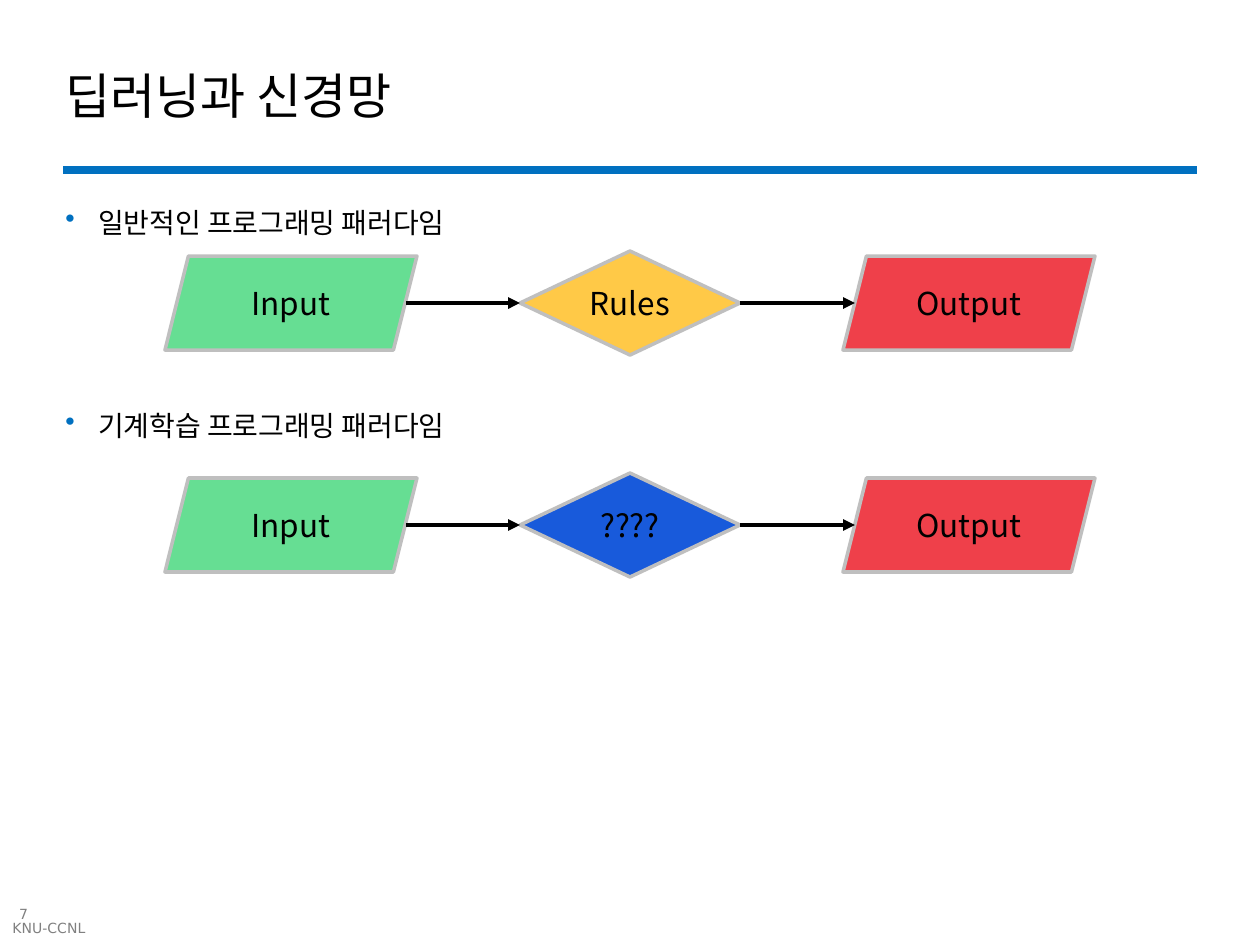
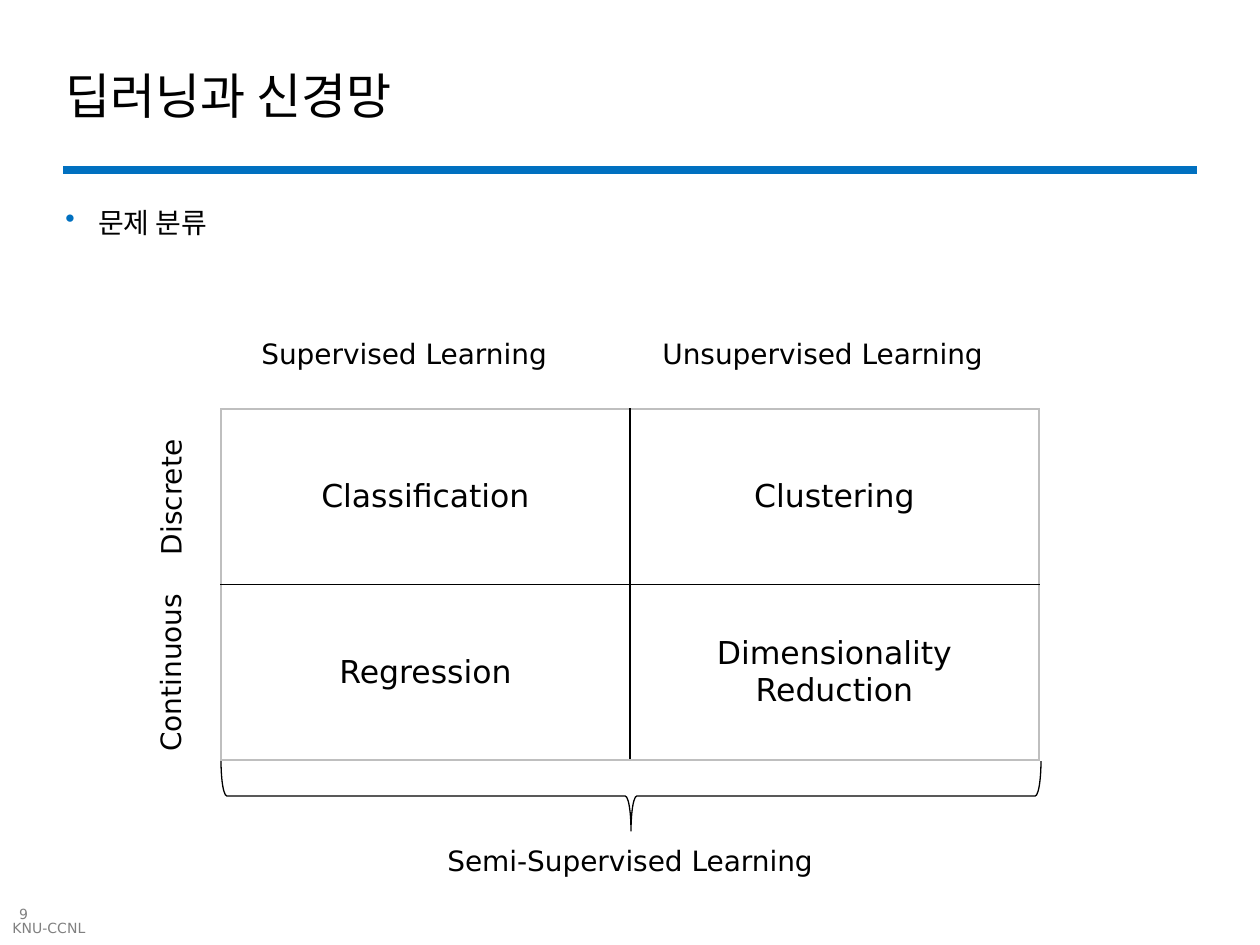
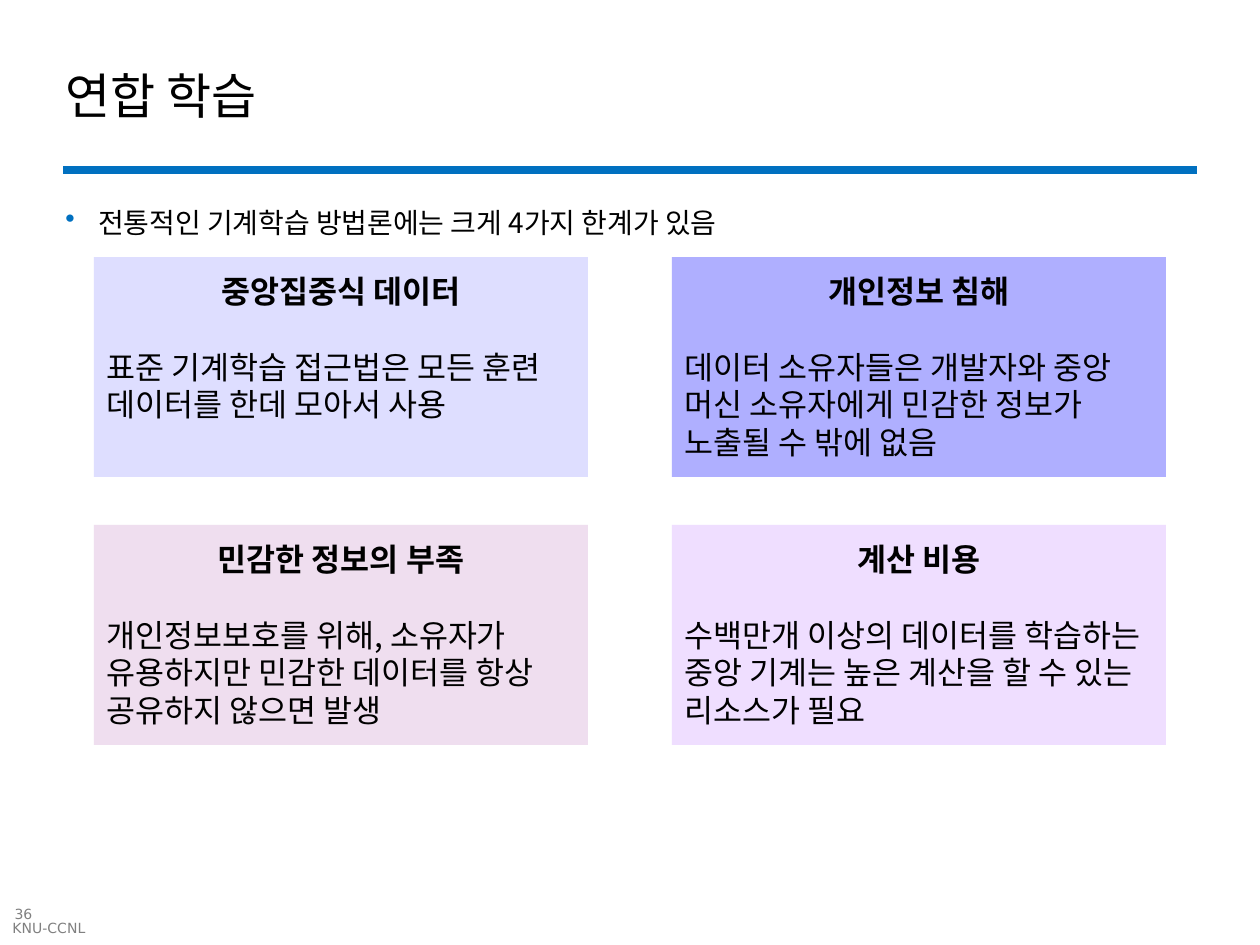
import dataclasses

import lxml.etree
import pptx
import pptx.dml.color
import pptx.enum.shapes
import pptx.enum.text
import pptx.oxml.ns
import pptx.util

SCALE = pptx.util.Inches(1) / 126
SHAPE = pptx.enum.shapes.MSO_SHAPE
ALIGN = pptx.enum.text.PP_ALIGN
ANCHOR = pptx.enum.text.MSO_ANCHOR


@dataclasses.dataclass(frozen=True)
class Theme:
    korean: str = "Noto Sans CJK KR"
    latin: str = "DejaVu Sans"
    ink: str = "000000"
    accent: str = "0070C0"
    muted: str = "808080"
    outline: str = "BFBFBF"
    input_fill: str = "66DE93"
    output_fill: str = "EF404A"
    rules_fill: str = "FFC947"
    unknown_fill: str = "185ADB"
    title_size: int = 28
    large_size: int = 18
    body_size: int = 16
    footer_size: int = 8


def px(length):
    return round(length * SCALE)


def rgb(color):
    return pptx.dml.color.RGBColor.from_string(color)


def add_element(parent, tag, **attributes):
    return lxml.etree.SubElement(parent, pptx.oxml.ns.qn(tag), attributes)


class SlideBuilder:
    def __init__(self, deck, theme):
        self.deck = deck
        self.theme = theme
        self.slide = None

    def start(self, title, number):
        theme = self.theme
        self.slide = self.deck.slides.add_slide(self.deck.slide_layouts[6])
        self.line(63, 170, 1197, 170, theme.accent, 5)
        self.text("KNU-CCNL", 0, 913, 101, 30, theme.footer_size,
                  theme.latin, theme.muted)
        page_number = self.text(str(number), 0, 901, 47, 25, theme.footer_size,
                                theme.latin, theme.muted, align=ALIGN.CENTER)
        frame = page_number.text_frame
        frame.margin_left = frame.margin_right = px(9)
        frame.margin_top = frame.margin_bottom = px(5)
        self.text(title, 53, 53, 1134, 84, theme.title_size, theme.korean,
                  anchor=ANCHOR.MIDDLE)

    def style(self, para, size, font, color=None, align=ALIGN.LEFT, bold=False):
        para.alignment = align
        para.font.size = pptx.util.Pt(size)
        para.font.bold = bold
        para.font.color.rgb = rgb(color or self.theme.ink)
        para.font.name = font
        defaults = para._p.pPr.find(pptx.oxml.ns.qn("a:defRPr"))
        add_element(defaults, "a:ea", typeface=font)

    def text(self, words, left, top, width, height, size, font, color=None,
             align=ALIGN.LEFT, anchor=ANCHOR.TOP):
        box = self.slide.shapes.add_textbox(px(left), px(top), px(width), px(height))
        frame = box.text_frame
        frame.word_wrap = True
        frame.vertical_anchor = anchor
        para = frame.paragraphs[0]
        para.text = words
        self.style(para, size, font, color, align)
        return box

    def bullet(self, words, top):
        box = self.slide.shapes.add_textbox(px(53), px(top), px(1144), px(60))
        box.text_frame.word_wrap = True
        para = box.text_frame.paragraphs[0]
        para.text = words
        properties = para._p.get_or_add_pPr()
        properties.set("marL", str(px(33)))
        properties.set("indent", str(px(-33)))
        bullet_color = add_element(properties, "a:buClr")
        add_element(bullet_color, "a:srgbClr", val=self.theme.accent)
        add_element(properties, "a:buChar", char="•")
        self.style(para, self.theme.body_size, self.theme.korean)

    def label(self, words, left, top, width, rotation=0):
        box = self.text(words, left, top, width, 47, self.theme.body_size,
                        self.theme.latin)
        box.rotation = rotation

    def shape(self, kind, left, top, width, height, fill=None, outline=None, weight=2):
        shape = self.slide.shapes.add_shape(kind, px(left), px(top), px(width), px(height))
        shape.shadow.inherit = False
        if fill:
            shape.fill.solid()
            shape.fill.fore_color.rgb = rgb(fill)
        else:
            shape.fill.background()
        if outline:
            shape.line.color.rgb = rgb(outline)
            shape.line.width = pptx.util.Pt(weight)
        else:
            shape.line.fill.background()
        return shape

    def node(self, kind, words, left, top, width, height, fill):
        shape = self.shape(kind, left, top, width, height, fill, self.theme.outline)
        shape.text_frame.vertical_anchor = ANCHOR.MIDDLE
        para = shape.text_frame.paragraphs[0]
        para.text = words
        self.style(para, self.theme.large_size, self.theme.korean, align=ALIGN.CENTER)
        return shape

    def card(self, heading, body, left, top, fill):
        frame = self.shape(SHAPE.RECTANGLE, left, top, 494, 220, fill).text_frame
        frame.word_wrap = True
        frame.vertical_anchor = ANCHOR.TOP
        frame.margin_top = px(15)
        size, font = self.theme.large_size, self.theme.korean
        head = frame.paragraphs[0]
        head.text = heading
        self.style(head, size, font, align=ALIGN.CENTER, bold=True)
        para = frame.add_paragraph()
        para.text = body
        para.space_before = pptx.util.Pt(21.6)
        self.style(para, size, font)

    def line(self, x1, y1, x2, y2, color, weight, arrow=False):
        line = self.slide.shapes.add_connector(
            pptx.enum.shapes.MSO_CONNECTOR.STRAIGHT, px(x1), px(y1), px(x2), px(y2))
        line.line.color.rgb = rgb(color)
        line.line.width = pptx.util.Pt(weight)
        if arrow:
            add_element(line.line._get_or_add_ln(), "a:tailEnd", type="triangle")
        add_element(line._element.spPr, "a:effectLst")
        return line

    def flow(self, middle_words, middle_fill, center):
        theme = self.theme
        top = center - 47
        self.node(SHAPE.PARALLELOGRAM, "Input", 165, top, 252, 94, theme.input_fill)
        self.node(SHAPE.PARALLELOGRAM, "Output", 843, top, 252, 94, theme.output_fill)
        diamond = self.node(SHAPE.DIAMOND, middle_words, 520, center - 52, 220, 104,
                            middle_fill)
        incoming = self.line(406, center, 520, center, theme.ink, 2.25, arrow=True)
        incoming.end_connect(diamond, 1)
        outgoing = self.line(740, center, 855, center, theme.ink, 2.25, arrow=True)
        outgoing.begin_connect(diamond, 3)

    def border(self, cell, edge, color):
        line = add_element(cell._tc.get_or_add_tcPr(), "a:ln" + edge,
                           w=str(pptx.util.Pt(1)))
        fill = add_element(line, "a:solidFill")
        add_element(fill, "a:srgbClr", val=color)

    def matrix(self, rows, left, top, width, height):
        row_count, column_count = len(rows), len(rows[0])
        table = self.slide.shapes.add_table(
            row_count, column_count, px(left), px(top), px(width), px(height)).table
        table.first_row = table.horz_banding = False
        for row, words_in_row in enumerate(rows):
            for column, words in enumerate(words_in_row):
                cell = table.cell(row, column)
                cell.text = words
                cell.vertical_anchor = ANCHOR.MIDDLE
                outer_edges = {"L": column == 0, "R": column == column_count - 1,
                               "T": row == 0, "B": row == row_count - 1}
                for edge, outer in outer_edges.items():
                    self.border(cell, edge, self.theme.outline if outer else self.theme.ink)
                cell.fill.background()
                for para in cell.text_frame.paragraphs:
                    self.style(para, self.theme.large_size, self.theme.latin,
                               align=ALIGN.CENTER)


def build_paradigms(page):
    page.start("딥러닝과 신경망", 7)
    page.bullet("일반적인 프로그래밍 패러다임", 199)
    page.flow("Rules", page.theme.rules_fill, 303)
    page.bullet("기계학습 프로그래밍 패러다임", 402)
    page.flow("????", page.theme.unknown_fill, 525)


def build_problem_types(page):
    page.start("딥러닝과 신경망", 9)
    page.bullet("문제 분류", 199)
    page.matrix([["Classification", "Clustering"],
                 ["Regression", "Dimensionality\nReduction"]], 221, 409, 818, 351)
    page.label("Supervised Learning", 249, 330, 329)
    page.label("Unsupervised Learning", 650, 330, 370)
    page.label("Discrete", 92, 465, 158, rotation=270)
    page.label("Continuous", 66, 636, 209, rotation=270)
    brace = page.shape(SHAPE.RIGHT_BRACE, 596, 386, 70, 820,
                       outline=page.theme.ink, weight=0.75)
    brace.rotation = 90
    page.label("Semi-Supervised Learning", 435, 837, 399)


def build_limits(page):
    page.start("연합 학습", 36)
    page.bullet("전통적인 기계학습 방법론에는 크게 4가지 한계가 있음", 199)
    cards = [
        ("중앙집중식 데이터", "표준 기계학습 접근법은 모든 훈련 데이터를 한데 모아서 사용", "DEDEFF"),
        ("개인정보 침해",
         "데이터 소유자들은 개발자와 중앙 머신 소유자에게 민감한 정보가 노출될 수 밖에 없음", "AFAFFF"),
        ("민감한 정보의 부족",
         "개인정보보호를 위해, 소유자가 유용하지만 민감한 데이터를 항상 공유하지 않으면 발생", "EFDEEF"),
        ("계산 비용",
         "수백만개 이상의 데이터를 학습하는 중앙 기계는 높은 계산을 할 수 있는 리소스가 필요", "EFDEFF"),
    ]
    for index, (heading, body, fill) in enumerate(cards):
        row, column = divmod(index, 2)
        page.card(heading, body, 94 + column * 578, 257 + row * 268, fill)


def main():
    deck = pptx.Presentation()
    deck.slide_width = px(1260)
    deck.slide_height = px(945)
    page = SlideBuilder(deck, Theme())
    build_paradigms(page)
    build_problem_types(page)
    build_limits(page)
    deck.save("out.pptx")


if __name__ == "__main__":
    main()
